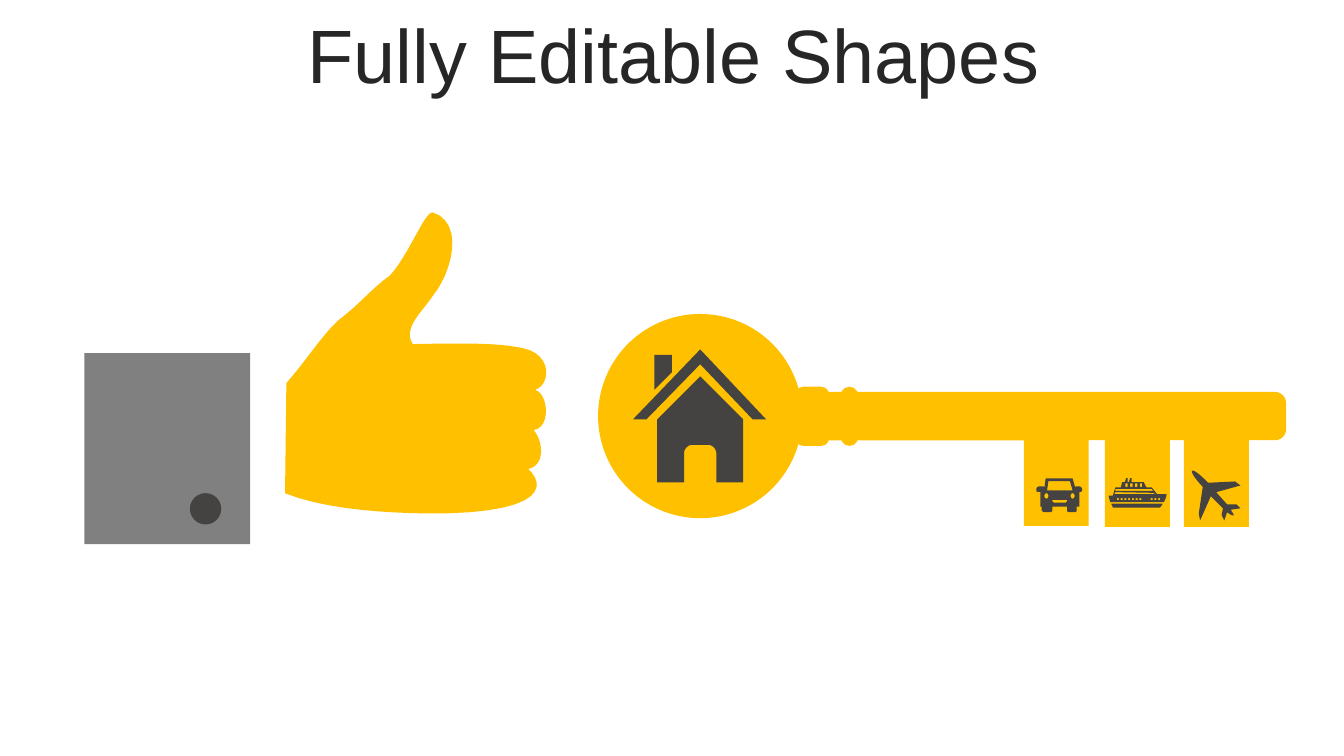
from dataclasses import dataclass
from typing import Iterator, Optional

from pptx import Presentation
from pptx.dml.color import RGBColor
from pptx.enum.shapes import MSO_SHAPE
from pptx.enum.text import MSO_ANCHOR, PP_ALIGN
from pptx.shapes.shapetree import GroupShapes
from pptx.util import Pt

GOLD = RGBColor(0xFF, 0xC0, 0x00)
GRAY = RGBColor(0x80, 0x80, 0x80)
CHARCOAL = RGBColor(0x44, 0x43, 0x42)
TITLE_INK = RGBColor(0x26, 0x26, 0x26)

GRID = 0.72  # points per unit of an outline
CURVE_STEPS = 12
Point = tuple[float, float]


@dataclass(frozen=True)
class Block:
    preset: MSO_SHAPE
    left: float
    top: float
    width: float
    height: float
    fill: RGBColor
    rounding: Optional[float] = None


@dataclass(frozen=True)
class Outline:
    """Contours of M, L and C commands in grid units; inner contours are holes."""
    left: float
    top: float
    contours: str
    fill: RGBColor


def box(x: float, y: float, width: float, height: float) -> str:
    return (f"M {x} {y} L {x + width} {y} {x + width} {y + height} "
            f"{x} {y + height} ")


def headlamp(x: float) -> str:
    return (f"M {x} 11 C {x - 2} 11 {x - 2} 15 {x} 15 "
            f"C {x + 2} 15 {x + 2} 11 {x} 11 ")


def bezier(start: Point, first: Point, second: Point, end: Point) -> Iterator[Point]:
    for step in range(1, CURVE_STEPS + 1):
        t = step / CURVE_STEPS
        weights = ((1 - t) ** 3, 3 * t * (1 - t) ** 2, 3 * t * t * (1 - t), t ** 3)
        yield tuple(sum(w * p[axis] for w, p in zip(weights, (start, first, second, end)))
                    for axis in (0, 1))


def trace(contour: str) -> list[Point]:
    """Turn one contour into points, sampling its curves."""
    points: list[Point] = []
    for segment in contour.replace("L", "|L").replace("C", "|C").split("|"):
        numbers = [float(n) for n in segment.strip("LC ").split()]
        pairs = list(zip(numbers[::2], numbers[1::2]))
        points += bezier(points[-1], *pairs) if segment[0] == "C" else pairs
    return points


def paint(shape, fill: RGBColor) -> None:
    shape.shadow.inherit = False
    shape.fill.solid()
    shape.fill.fore_color.rgb = fill
    shape.line.fill.background()


def draw_block(shapes: GroupShapes, block: Block) -> None:
    shape = shapes.add_shape(block.preset, Pt(block.left), Pt(block.top),
                             Pt(block.width), Pt(block.height))
    if block.rounding is not None:
        shape.adjustments[0] = block.rounding
    paint(shape, block.fill)


def draw_outline(shapes: GroupShapes, outline: Outline) -> None:
    builder = None
    for contour in outline.contours.split("M")[1:]:
        start, *rest = [(Pt(outline.left + GRID * x), Pt(outline.top + GRID * y))
                        for x, y in trace(contour)]
        if builder is None:
            builder = shapes.build_freeform(*start)
        else:
            builder.move_to(*start)
        builder.add_line_segments(rest, close=True)
    paint(builder.convert_to_shape(), outline.fill)


# Thumbs-up hand with its cuff
THUMB = ("M 110 0 C 104 -1 92 32 78 47 C 64 57 56 68 40 80 C 27 92 16 110 1 127 "
         "L 0 209 C 40 225 105 224 120 224 C 195 222 193 202 181 191 "
         "C 194 188 192 170 185 162 C 198 160 196 135 186 132 "
         "C 197 129 200 106 177 101 C 161 98 150 97 95 98 "
         "C 87 86 103 73 110 62 C 124 45 134 8 110 0")
HAND = [
    Block(MSO_SHAPE.RECTANGLE, 45.2, 189.2, 88.9, 102.4, GRAY),
    Outline(152.7, 113.8, THUMB, GOLD),
    Block(MSO_SHAPE.OVAL, 101.7, 264.2, 16.8, 16.8, CHARCOAL),
]

# Icons on the key
HOUSE = ("M 50 20 L 82 52 82 99 62 99 62 77 C 62 74 59 71 56 71 L 44 71 "
         "C 41 71 38 74 38 77 L 38 99 18 99 18 52 "
         "M 16 4 L 29 4 29 17 16 30 "
         "M 50 0 L 99 52 89 52 50 11 10 52 0 52")
CAR = ("M 7 0 L 27 0 29 7 C 29 6 29 6 30 6 L 32 6 C 33 6 34 7 34 8 L 34 9 "
       "C 34 10 33 10 32 10 L 32 21 30 21 30 24 C 30 24 30 25 29 25 L 24 25 "
       "C 23 25 23 24 23 24 L 23 21 12 21 12 24 C 12 24 11 25 11 25 L 6 25 "
       "C 5 25 4 24 4 24 L 4 21 3 21 3 10 2 10 C 1 10 0 10 0 9 L 0 8 "
       "C 0 7 1 6 2 6 L 5 6 C 5 6 6 6 6 7 "
       "M 9 2 L 8 9 27 9 25 2 "
       "M 12 16 L 23 16 23 17 22 18 13 18 12 17 "
       + headlamp(7.5) + headlamp(27))
PORTHOLES = "".join(box(6 + 2.8 * i, 15, 1.5, 1.5) for i in range(12) if i not in (7, 8))
CABIN_WINDOWS = "".join(box(12.3 + 3.6 * i, 4, 1.8, 2.5) for i in range(4))
SHIP = ("M 16 0 L 17 0 17 3 26 3 28 7 32 7 36 12 43 12 C 43 14 42 16 41 18 "
        "L 1 18 C 1 16 0 15 0 13 L 3 13 5 7 9 7 10 3 12 3 13 0 14 0 14 3 15 3 "
        "M 2 19 L 40 19 C 40 20 39 21 38 22 L 3 22 C 3 21 2 20 2 19 "
        "M 5 10.5 L 4 12 35 12 33 11 M 5 8 L 5 9.5 33 9.5 32 8 "
        + PORTHOLES + CABIN_WINDOWS)
PLANE = ("M 36 28 L 29 29 C 29 30 31 32 31 33 C 30 34 28 32 26 31 L 24 37 22 33 "
         "23 28 14 19 6 37 5 32 8 12 C 5 9 -1 2 0 0 C 2 -1 9 6 12 9 "
         "L 32 8 36 11 18 16 26 25 C 28 25 33 25 33 25")

# Key: bow, collars, shaft, three teeth and the icons
KEY = [
    Block(MSO_SHAPE.OVAL, 320.4, 168.2, 109.4, 109.4, GOLD),
    Block(MSO_SHAPE.ROUNDED_RECTANGLE, 426.2, 207.2, 18, 31.7, GOLD, 0.23),
    Block(MSO_SHAPE.ROUNDED_RECTANGLE, 450.4, 207.2, 9.4, 31.7, GOLD, 0.5),
    Block(MSO_SHAPE.ROUNDED_RECTANGLE, 426.2, 210, 262.8, 25.9, GOLD, 0.23),
    *(Block(MSO_SHAPE.RECTANGLE, left, top, 34.8, 46.8, GOLD)
      for left, top in ((548.5, 234.9), (592, 235.5), (634.3, 235.5))),
    Outline(339.1, 187.2, HOUSE, CHARCOAL),
    Outline(594, 256.1, SHIP, CHARCOAL),
    Outline(638.6, 252.2, PLANE, CHARCOAL),
    Outline(555.2, 256.3, CAR, CHARCOAL),
]


def add_title(slide, text: str) -> None:
    title = slide.shapes.title
    frame = title.text_frame
    frame.text = text
    paragraph = frame.paragraphs[0]
    formats = (
        (title, {"left": Pt(19.4), "top": Pt(7.2), "width": Pt(683.3), "height": Pt(42.5)}),
        (frame, {"vertical_anchor": MSO_ANCHOR.MIDDLE, "word_wrap": True}),
        (paragraph, {"alignment": PP_ALIGN.CENTER}),
        (paragraph.runs[0].font, {"name": "Arial", "size": Pt(40.5)}),
        (paragraph.runs[0].font.color, {"rgb": TITLE_INK}),
    )
    for target, values in formats:
        for attribute, value in values.items():
            setattr(target, attribute, value)


def main() -> None:
    deck = Presentation()
    deck.slide_width, deck.slide_height = Pt(720), Pt(405)
    slide = deck.slides.add_slide(deck.slide_layouts[5])
    add_title(slide, "Fully Editable Shapes")
    for parts in (HAND, KEY):
        group = slide.shapes.add_group_shape()
        for part in parts:
            draw = draw_block if isinstance(part, Block) else draw_outline
            draw(group.shapes, part)
    deck.save("out.pptx")


if __name__ == "__main__":
    main()
